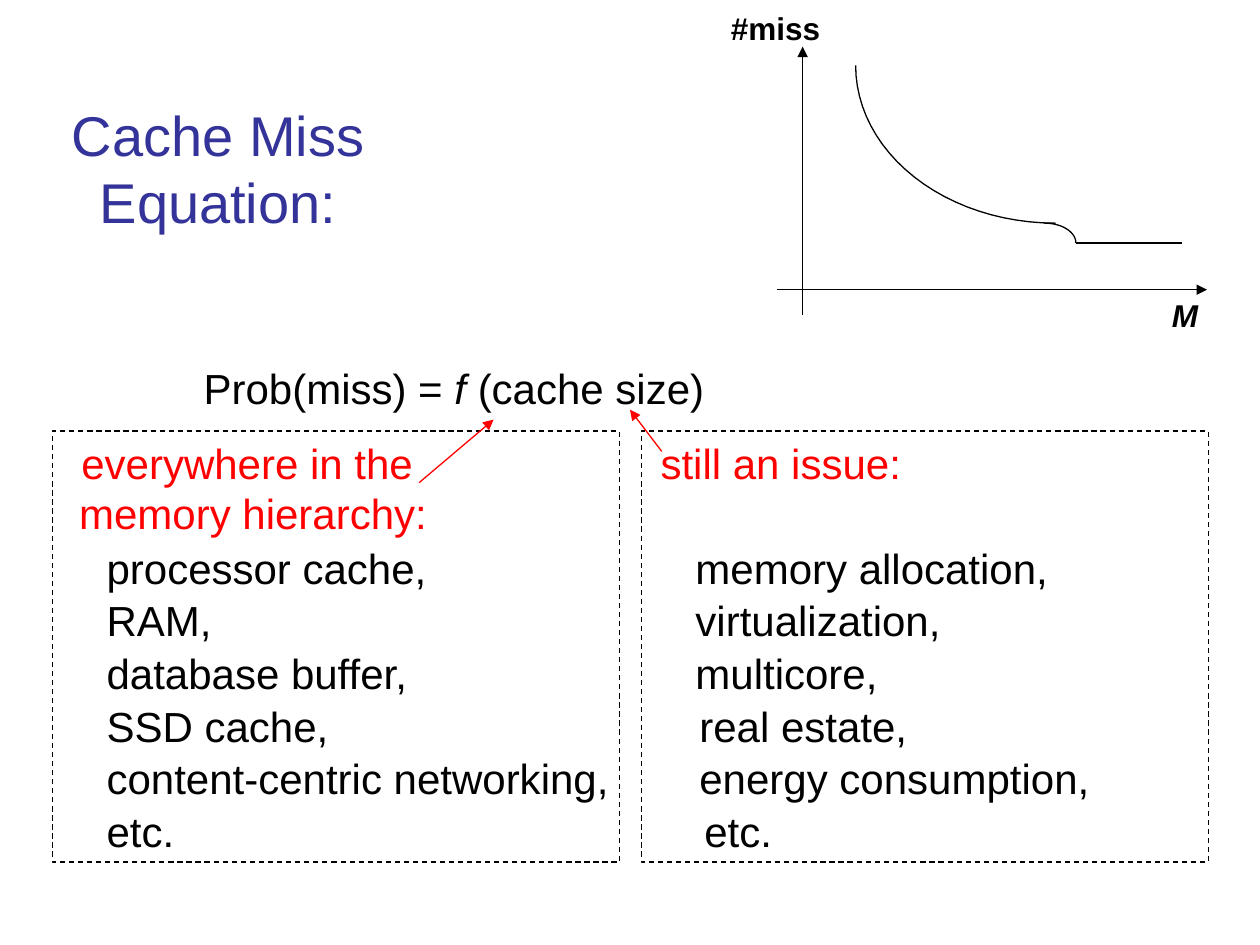
from dataclasses import dataclass
from math import cos, radians, sin

from lxml import etree
from pptx import Presentation
from pptx.dml.color import RGBColor
from pptx.enum.dml import MSO_LINE
from pptx.enum.shapes import MSO_CONNECTOR, MSO_SHAPE
from pptx.enum.text import PP_ALIGN
from pptx.oxml.ns import qn
from pptx.util import Cm, Pt

LEFT, CENTER = PP_ALIGN.LEFT, PP_ALIGN.CENTER
RECT, STRAIGHT, DASH = MSO_SHAPE.RECTANGLE, MSO_CONNECTOR.STRAIGHT, MSO_LINE.DASH


@dataclass(frozen=True)
class Theme:
    font: str = "Arial"
    ink: RGBColor = RGBColor(0x00, 0x00, 0x00)
    blue: RGBColor = RGBColor(0x33, 0x33, 0x99)
    red: RGBColor = RGBColor(0xFF, 0x00, 0x00)
    title: Pt = Pt(32)
    body: Pt = Pt(24)
    label: Pt = Pt(18)
    stroke: Pt = Pt(0.75)


THEME = Theme()
ROW = 1.06  # height of one list row in cm


def add_text(slide, box, lines, size=THEME.body, color=THEME.ink,
             align=CENTER, wrap=False, bold=None, italic=None):
    """Each line is a list of (text, italic) runs or a plain string."""
    frame = slide.shapes.add_textbox(*map(Cm, box)).text_frame
    frame.word_wrap = wrap
    for i, line in enumerate(lines):
        para = frame.add_paragraph() if i else frame.paragraphs[0]
        para.alignment = align
        font = para.font
        font.name, font.size = THEME.font, size
        font.bold, font.italic = bold, italic
        font.color.rgb = color
        for text, slant in [(line, None)] if isinstance(line, str) else line:
            run = para.add_run()
            run.text = text
            run.font.italic = slant


def add_line(slide, start, end, color=THEME.ink, arrow=True):
    line = slide.shapes.add_connector(STRAIGHT, *map(Cm, (*start, *end)))
    line.line.color.rgb = color
    line.line.width = THEME.stroke
    props = line._element.spPr
    if arrow:
        etree.SubElement(props.find(qn("a:ln")), qn("a:tailEnd"), type="triangle")
    etree.SubElement(props, qn("a:effectLst"))


def add_outline(shape):
    shape.shadow.inherit = False
    shape.fill.background()
    shape.line.color.rgb = THEME.ink
    shape.line.width = THEME.stroke


def add_arc(slide, mid, radii, first, last, steps=24):
    """Part of an ellipse, with angles in degrees, clockwise from the right."""
    points = []
    for i in range(steps + 1):
        turn = radians(first + (last - first) * i / steps)
        points.append((Cm(mid[0] + radii[0] * cos(turn)),
                       Cm(mid[1] + radii[1] * sin(turn))))
    path = slide.shapes.build_freeform(*points[0])
    path.add_line_segments(points[1:], close=False)
    add_outline(path.convert_to_shape())


def add_graph(slide, left, top):
    """Miss count against memory size."""
    def at(x, y):
        return left + x, top + y

    # Axes and their labels
    add_text(slide, (*at(0, 0), 2.31, 1.02), ["#miss"], THEME.label, bold=True)
    add_line(slide, at(1.7, 6.3), at(1.7, 0.89))
    add_line(slide, at(1.19, 5.79), at(9.85, 5.79))
    add_text(slide, (*at(8.89, 5.79), 1.04, 1.02), ["M"], THEME.label,
             bold=True, italic=True)
    # Curve: steep fall, knee, flat end
    add_arc(slide, at(6.8, 1.27), (4.03, 3.18), 180, 90)
    add_arc(slide, at(6.58, 4.85), (0.63, 0.4), -90, 0)
    add_line(slide, at(7.21, 4.85), at(9.35, 4.85), arrow=False)


def add_panel(slide, box, head, spot, arrow, items):
    """Dashed box with a red heading, an arrow to the formula and a list."""
    left, top = box[:2]
    frame = slide.shapes.add_shape(RECT, *map(Cm, box))
    add_outline(frame)
    frame.line.dash_style = DASH
    x, wide, high = spot
    add_text(slide, (left + x, top, wide, high), head, color=THEME.red)
    add_line(slide, *[(left + dx, top + dy) for dx, dy in arrow], THEME.red)
    for row, (text, inset, wide) in enumerate(items, 2):
        add_text(slide, (left + inset, top + row * ROW, wide, 1.27), [text],
                 align=LEFT)


def main():
    deck = Presentation()
    deck.slide_width, deck.slide_height = Cm(25.4), Cm(19.05)
    slide = deck.slides.add_slide(deck.slide_layouts[6])

    # Title and formula
    add_text(slide, (1.1, 1.9, 6.6, 3.0), ["Cache Miss Equation:"],
             THEME.title, THEME.blue, wrap=True)
    add_text(slide, (3.84, 7.19, 10.62, 1.27),
             [[("Prob(miss) = ", None), ("f ", True), ("(cache size)", None)]])

    # Two panels
    size = (11.43, 8.69)
    add_panel(slide, (1.06, 8.69, *size),
              ["everywhere in the ", "memory hierarchy:"], (0.28, 7.52, 2.29),
              [(7.39, 1.04), (8.89, -0.23)],
              [("processor cache,", 0.84, 6.96), ("RAM,", 0.84, 2.62),
               ("database buffer,", 0.84, 6.63), ("SSD cache,", 0.84, 5.03),
               ("content-centric networking,", 0.84, 10.74),
               ("etc.", 0.84, 1.88)])
    add_panel(slide, (12.93, 8.69, *size),
              ["still an issue:"], (0.13, 5.36, 1.27),
              [(0.41, 0.41), (-0.23, -0.43)],
              [("memory allocation,", 0.84, 7.62), ("virtualization,", 0.84, 5.46),
               ("multicore,", 0.84, 4.19), ("real estate,", 0.92, 4.7),
               ("energy consumption,", 0.92, 8.38), ("etc.", 1.02, 1.88)])

    add_graph(slide, 14.48, 0.05)
    deck.save("out.pptx")


if __name__ == "__main__":
    main()
